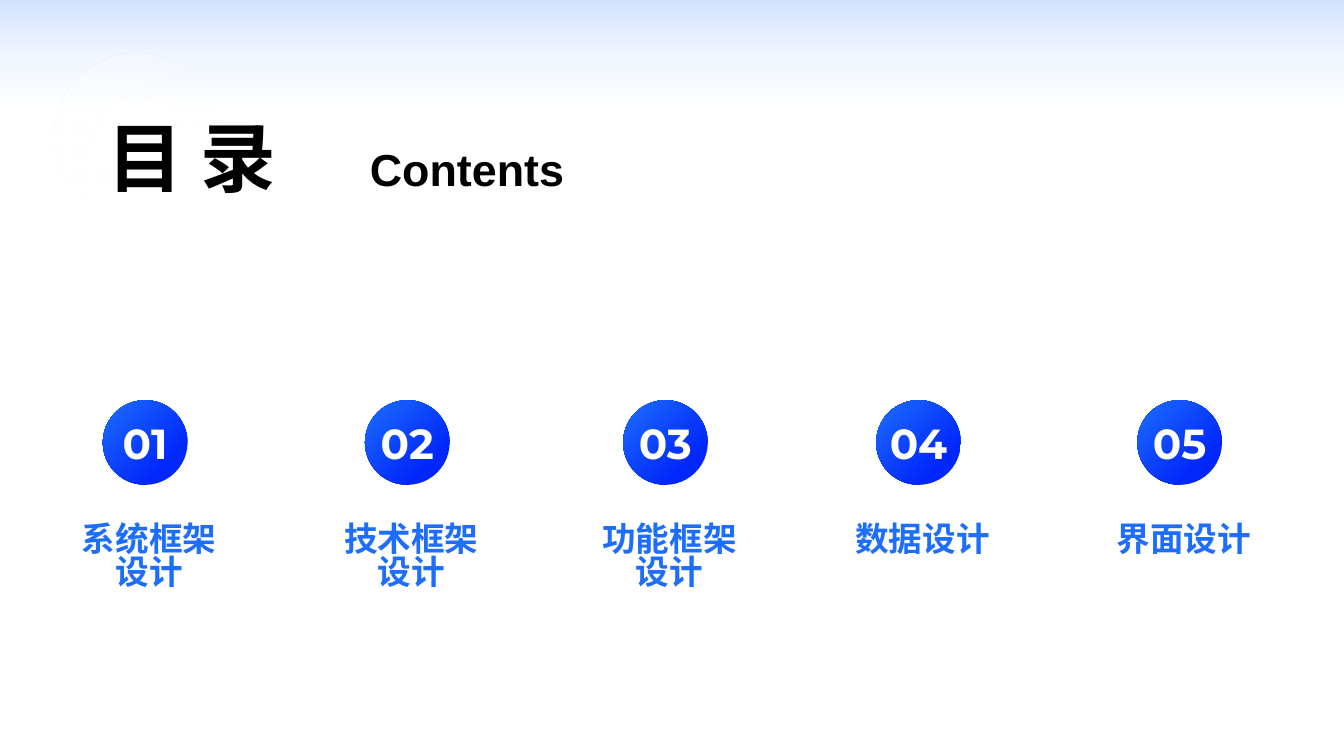
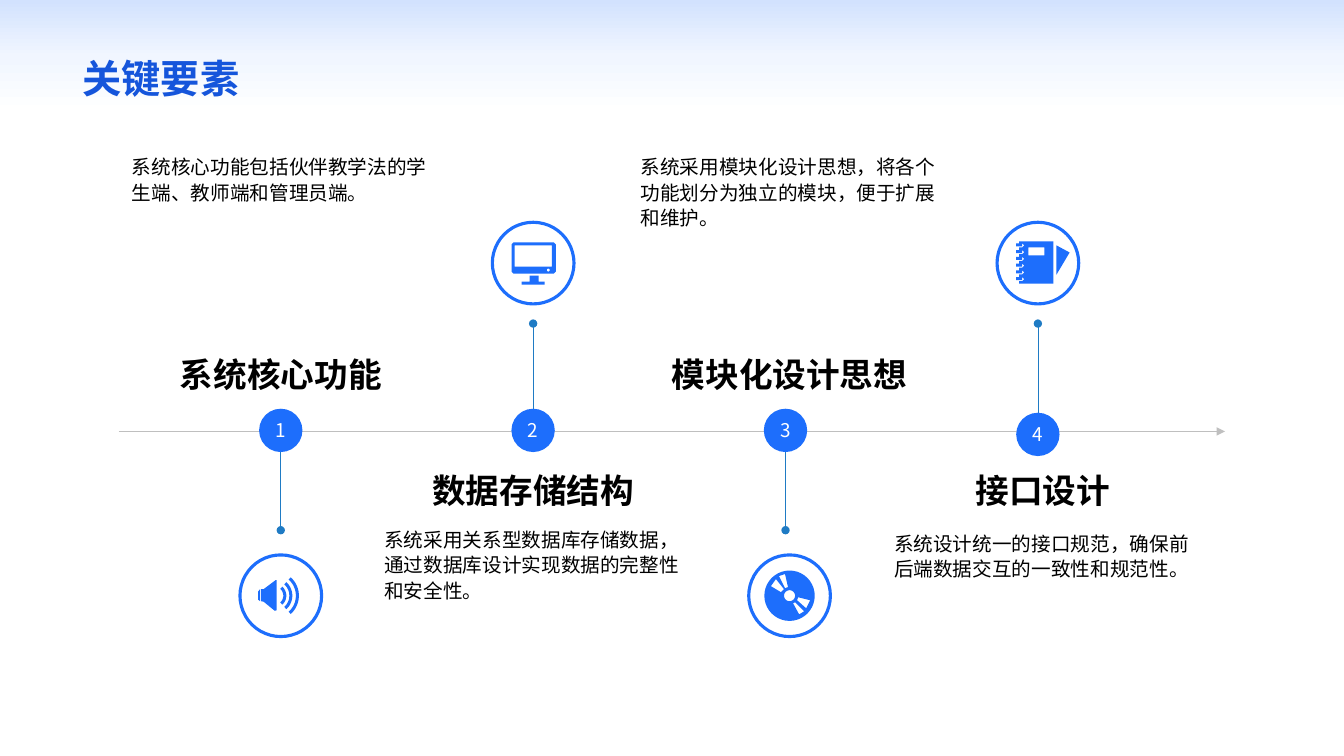
import math
from dataclasses import dataclass

from lxml import etree
from pptx import Presentation
from pptx import util as u
from pptx.dml.color import RGBColor
from pptx.enum import shapes, text
from pptx.oxml.ns import qn

CELL = 0.1  # one column or row of the grid, in inches
COLUMNS, ROWS = 133.3, 75
TITLE_ONLY = 5
LEFT, CENTER = text.PP_ALIGN.LEFT, text.PP_ALIGN.CENTER
TOP, MIDDLE, BOTTOM = (text.MSO_ANCHOR.TOP, text.MSO_ANCHOR.MIDDLE,
                       text.MSO_ANCHOR.BOTTOM)
OVAL = shapes.MSO_SHAPE.OVAL


@dataclass(frozen=True)
class Style:
    size: float
    color: str
    font: str
    bold: bool = False
    align: int = CENTER
    anchor: int = MIDDLE
    spacing: float = 1.0


class Theme:
    white, black, sky = "FFFFFF", "000000", "D2E2FE"
    blue, deep_blue, heading_blue = "1D6EFC", "0127FB", "1555DB"
    stem, axis = "1F7BC4", "BFBFBF"
    sc, jp = "Noto Sans CJK SC", "Noto Sans CJK JP"

    background = [(0, white), (85, white), (92.5, "F1F6FF"), (100, sky)]
    badge = [(0, blue), (76, deep_blue), (100, deep_blue)]
    halo = [(0, white, 35), (62, white, 0), (100, white, 0)]

    contents = Style(54, black, sc, True)
    contents_latin = Style(32, black, "Arial", True, LEFT)
    badge_number = Style(30, white, "Montserrat", True)
    chapter = Style(24, blue, sc, True, CENTER, TOP, 0.84)
    title = Style(28, heading_blue, sc, True, LEFT, BOTTOM)
    node = Style(13.5, white, jp)
    heading = Style(24, black, jp, True)
    body = Style(14, black, jp, False, LEFT, TOP, 1.08)


@dataclass(frozen=True)
class Box:
    """A region of the grid, measured in cells."""
    x: float
    y: float
    w: float
    h: float

    def area(self, x, y, w, h):
        return Box(self.x + x, self.y + y, w, h)

    def around(self, x, y, w, h=None):
        """An area of this region centred on a point of it."""
        h = w if h is None else h
        return self.area(x - w / 2, y - h / 2, w, h)

    @property
    def emu(self):
        return [cells(v) for v in (self.x, self.y, self.w, self.h)]


def cells(count):
    return u.Inches(count * CELL)


def rgb(color):
    return RGBColor.from_string(color)


def set_all(target, values):
    for name, value in values.items():
        setattr(target, name, value)


def gradient(fill, owner, stops, angle=None):
    """Fill by stops of (percent, colour, opacity); round if no angle."""
    fill.gradient()
    grad = next(owner.iter(qn("a:gradFill")))
    for child in list(grad):
        grad.remove(child)
    stop_list = etree.SubElement(grad, qn("a:gsLst"))
    for position, color, *opacity in stops:
        stop = etree.SubElement(stop_list, qn("a:gs"), pos=str(int(position * 1000)))
        clr = etree.SubElement(stop, qn("a:srgbClr"), val=color)
        for value in opacity:
            etree.SubElement(clr, qn("a:alpha"), val=str(value * 1000))
    if angle is None:
        focus = etree.SubElement(grad, qn("a:path"), path="circle")
        etree.SubElement(focus, qn("a:fillToRect"), r="100000", b="100000")
    else:
        etree.SubElement(grad, qn("a:lin"), ang=str(angle * 60000), scaled="0")


def write(shape, words, style, inset=(0.1, 0.05), wrap=True):
    frame = shape.text_frame
    across, down = (u.Inches(v) for v in inset)
    set_all(frame, {
        "auto_size": text.MSO_AUTO_SIZE.NONE, "word_wrap": wrap,
        "vertical_anchor": style.anchor,
        "margin_left": across, "margin_right": across,
        "margin_top": down, "margin_bottom": down})
    paragraph = frame.paragraphs[0]
    set_all(paragraph, {"alignment": style.align, "line_spacing": style.spacing})
    run = paragraph.add_run()
    run.text = words
    set_all(run.font, {"size": u.Pt(style.size), "bold": style.bold,
                       "name": style.font})
    run.font.color.rgb = rgb(style.color)
    latin = run._r.rPr.find(qn("a:latin"))
    east_asian = etree.Element(qn("a:ea"), typeface=style.font)
    latin.addnext(east_asian)


def add_text(slide, box, words, style):
    write(slide.shapes.add_textbox(*box.emu), words, style)


def add_title(slide, box, words, style):
    title = slide.shapes.title
    set_all(title, dict(zip(("left", "top", "width", "height"), box.emu)))
    write(title, words, style)


def add_preset(slide, kind, box, fill=None, line=None):
    shape = slide.shapes.add_shape(kind, *box.emu)
    shape.shadow.inherit = False
    if fill:
        shape.fill.solid()
        shape.fill.fore_color.rgb = rgb(fill)
    else:
        shape.fill.background()
    if line:
        shape.line.color.rgb = rgb(line)
        shape.line.width = u.Pt(2.25)
    else:
        shape.line.fill.background()
    return shape


def add_line(slide, start, end, color, **ends):
    line = slide.shapes.add_connector(
        shapes.MSO_CONNECTOR.STRAIGHT, *(cells(v) for v in (*start, *end)))
    line.line.color.rgb = rgb(color)
    line.line.width = u.Pt(0.5)
    properties = line._element.spPr
    outline = properties.find(qn("a:ln"))
    for end_name, kind in ends.items():
        etree.SubElement(outline, qn(f"a:{end_name}"), type=kind)
    etree.SubElement(properties, qn("a:effectLst"))


# Icon outlines are in hundredths of an inch from the icon's centre.
def arc(cx, cy, radius, start=0, end=360, steps=40):
    angles = (math.radians(start + (end - start) * i / steps)
              for i in range(steps + 1))
    return [(cx + radius * math.cos(a), cy + radius * math.sin(a)) for a in angles]


def rectangle(left, top, right, bottom, cut=0):
    return [(left + cut, top), (right - cut, top), (right, top + cut),
            (right, bottom - cut), (right - cut, bottom),
            (left + cut, bottom), (left, bottom - cut), (left, top + cut)]


def speaker():
    waves = [arc(-6.5, 0, r, -48, 48) + arc(-6.5, 0, r - 3, 48, -48)
             for r in (12, 18, 24.5)]
    cone = [(-5, -15.5), (-17, -6.5), (-19.5, -6.5), (-19.5, 5.5),
            (-17, 6), (-6, 15), (-4, 14.5), (-4, -15.5)]
    magnet = [(-22.5, -4), (-20.5, -6.5), (-20.5, 5.5), (-22.5, 4)]
    return [cone, magnet, *waves]


def monitor():
    stand = [(-11.5, 21.5), (-11.5, 18.5), (-3.5, 18.5), (-3.5, 12.5),
             (5.5, 12.5), (5.5, 18.5), (11.5, 18.5), (11.5, 21.5)]
    return [rectangle(-21.5, -20.5, 22.5, 10.5, 2),
            rectangle(-18.5, -17.5, 18.5, 3.5), arc(15, 7, 1.5), stand]


def disc():
    glints = [
        [(-4.5, -7.5), (-1.5, -8.5), (-4.5, -21.5), (-10.5, -19.5)],
        [(5.5, 6.5), (3.5, 7.5), (9.5, 18.5), (14.5, 15.5)],
        [(20.5, 4.5), (8.5, 1.5), (7.5, 4.5), (16.5, 12.5)],
        [(-18.5, -9.5), (-8.5, -3.5), (-5.5, -6.5), (-13.5, -16.5)]]
    return [arc(0, 0, 25), arc(0, 0, 5.5), *glints]


def notebook():
    ring = [(-18.5, 0), (-21.5, 0), (-21.5, 3), (-15.5, 3), (-15.5, 0),
            (-13.5, 2), (-15.5, 4), (-18.5, 4)]
    spine = [(x, y - 19.5 + 6.7 * i) for i in range(6) for x, y in ring]
    cover = [(-18.5, -21.5), *spine, (-18.5, 20.5), (15.5, 20.5), (15.5, -21.5)]
    return [cover, rectangle(-9.5, -15.5, 6.5, -7.5),
            [(18.5, -17.5), (18.5, 11.5), (31.5, -10.5)]]


def add_icon(slide, box, outlines):
    add_preset(slide, OVAL, box, line=Theme.blue)
    fine = [[(x * 10, y * 10) for x, y in outline] for outline in outlines]
    builder = slide.shapes.build_freeform(*fine[0][0], scale=u.Inches(0.001))
    for i, outline in enumerate(fine):
        if i:
            builder.move_to(*outline[0])
        builder.add_line_segments(outline[1:], close=True)
    icon = builder.convert_to_shape(cells(box.x + box.w / 2), cells(box.y + box.h / 2))
    icon.shadow.inherit = False
    icon.fill.solid()
    icon.fill.fore_color.rgb = rgb(Theme.blue)
    icon.line.fill.background()


def contents_header(slide, box):
    halo = add_preset(slide, shapes.MSO_SHAPE.DONUT, box.area(0, 0, 16.6, 16.6))
    gradient(halo.fill, halo._element.spPr, Theme.halo, 60)
    add_title(slide, box.area(2.2, 5.2, 23.1, 10), "目 录", Theme.contents)
    add_text(slide, box.area(30.4, 7.8, 23.8, 7.3), "Contents", Theme.contents_latin)


def chapter_entry(slide, box, number, name):
    badge = add_preset(slide, OVAL, box.area(4.7, 0, 8.4, 8.4))
    gradient(badge.fill, badge._element.spPr, Theme.badge)
    write(badge, f"{number:02}", Theme.badge_number, (0, 0), False)
    add_text(slide, box.area(0, 11.8, box.w, 9), name, Theme.chapter)


def contents_slide(slide, page):
    contents_header(slide, page.area(5.3, 5.3, 55, 17))
    chapters = {"系统框架设计": 5.5, "技术框架设计": 31.5, "功能框架设计": 57.1,
                "数据设计": 82.2, "界面设计": 108.1}
    for number, (name, column) in enumerate(chapters.items(), 1):
        chapter_entry(slide, page.area(column, 39.7, 18.6, 21), number, name)


@dataclass(frozen=True)
class Element:
    heading: str
    detail: str
    icon: list
    text_shift: float = 0
    icon_shift: float = 0
    drop: float = 0


def timeline_step(slide, box, number, element):
    """One step around the axis, which runs through the middle of the box."""
    middle, axis = box.w / 2, box.h / 2
    text_above = number % 2 == 1
    if text_above:
        icon_y, stem, heading_y, detail_y = 16.4, (0, 9.9), -5.6, -28
    else:
        icon_y, stem, heading_y, detail_y = -16.6, (-10.6, -0.8), 5.9, 9
    add_line(slide, *((box.x + middle, box.y + axis + y) for y in stem),
             Theme.stem, headEnd="oval", tailEnd="oval")
    node = add_preset(slide, OVAL, box.around(middle, axis + element.drop, 4.3),
                      fill=Theme.blue)
    write(node, str(number), Theme.node, (0, 0), False)
    add_icon(slide, box.around(middle + element.icon_shift, axis + icon_y, 8.1),
             element.icon)
    add_text(slide, box.area(element.text_shift, axis + detail_y + element.drop,
                             box.w, 10.2), element.detail, Theme.body)
    add_text(slide, box.around(middle + element.text_shift, axis + heading_y,
                               box.w, 5), element.heading, Theme.heading)


def key_elements_slide(slide, page):
    add_title(slide, page.area(7.2, 4.9, 116.7, 5.7), "关键要素", Theme.title)
    add_line(slide, (11.8, 42.8), (121.5, 42.8), Theme.axis, tailEnd="triangle")
    elements = [
        Element("系统核心功能", "系统核心功能包括伙伴教学法的学生端、教师端和管理员端。", speaker()),
        Element("数据存储结构", "系统采用关系型数据库存储数据，通过数据库设计实现数据的完整性和安全性。",
                monitor()),
        Element("模块化设计思想", "系统采用模块化设计思想，将各个功能划分为独立的模块，便于扩展和维护。",
                disc(), 0.4, 0.4),
        Element("接口设计", "系统设计统一的接口规范，确保前后端数据交互的一致性和规范性。",
                notebook(), 0.5, 0, 0.4)]
    for i, element in enumerate(elements):
        step = page.area(12.1 + 25.03 * i, 14.4, 31.5, 56.6)
        timeline_step(slide, step, i + 1, element)


def main():
    deck = Presentation()
    deck.slide_width, deck.slide_height = cells(COLUMNS), cells(ROWS)
    master = deck.slide_master
    gradient(master.background.fill, master._element, Theme.background, 270)
    page = Box(0, 0, COLUMNS, ROWS)
    for build in (contents_slide, key_elements_slide):
        build(deck.slides.add_slide(deck.slide_layouts[TITLE_ONLY]), page)
    deck.save("out.pptx")


if __name__ == "__main__":
    main()
